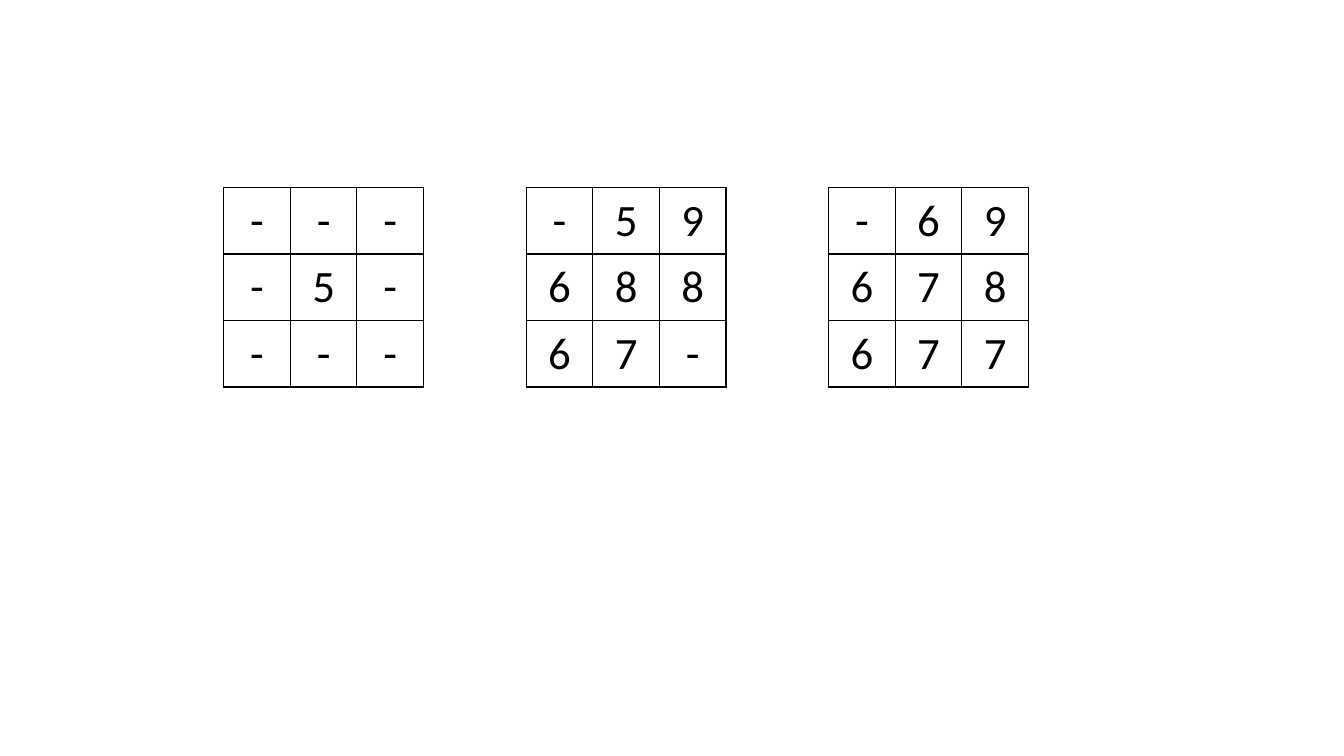
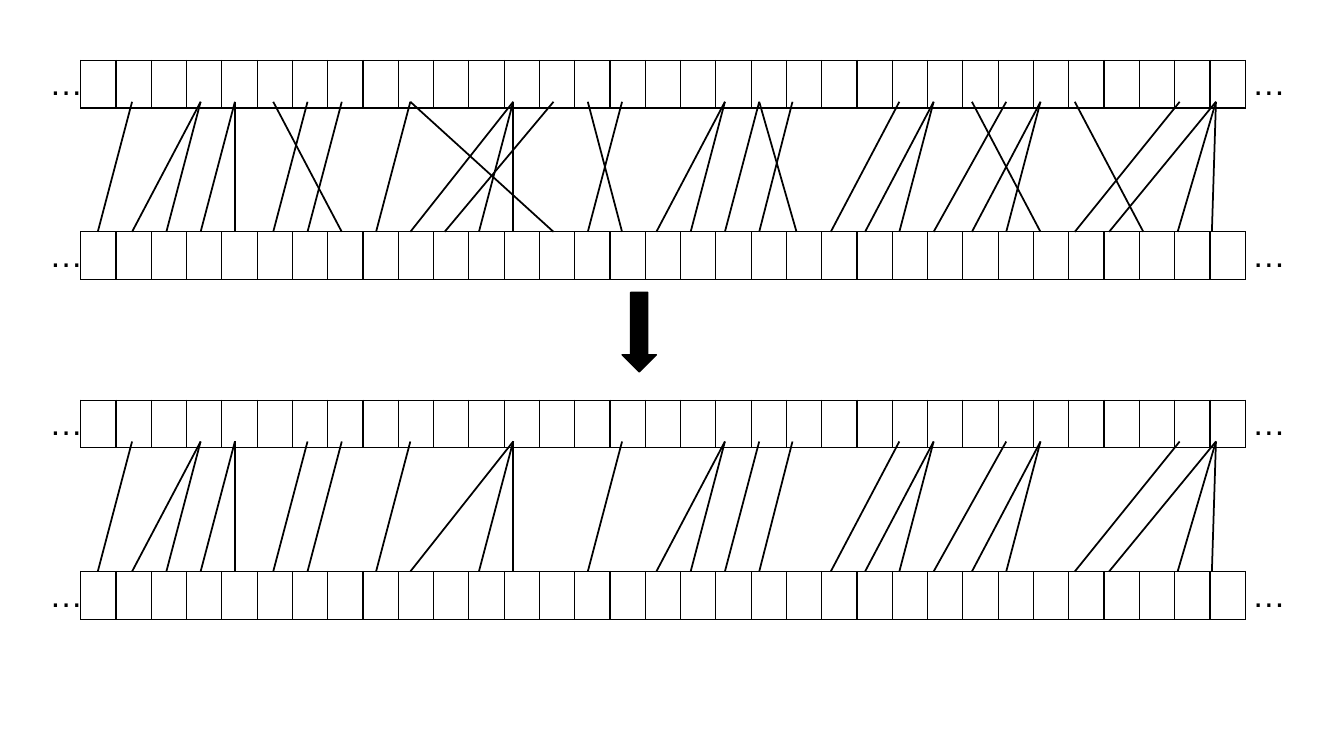
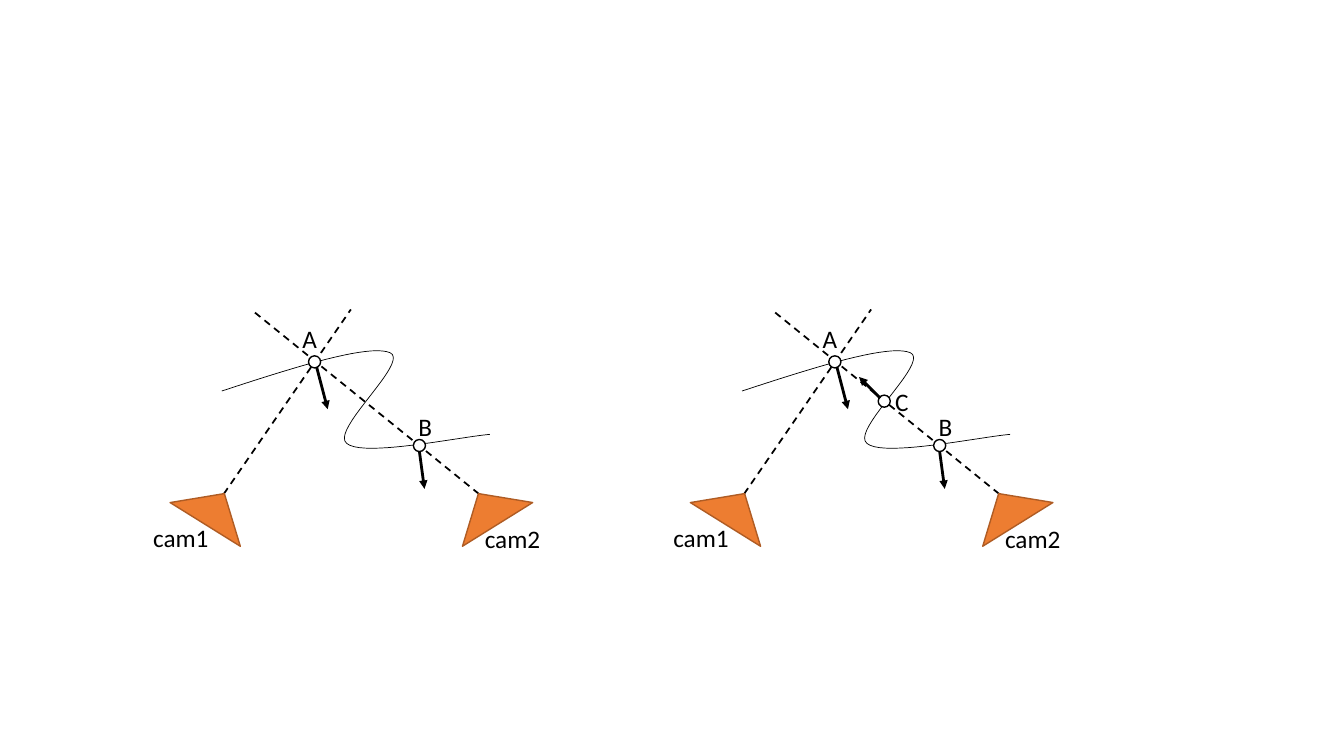
"""Build three diagram slides: filter windows, sequence matching and two-camera views."""
from dataclasses import dataclass

from lxml.etree import SubElement
from pptx import Presentation
from pptx.dml.color import RGBColor
from pptx.enum.dml import MSO_LINE
from pptx.enum.shapes import MSO_CONNECTOR, MSO_SHAPE
from pptx.enum.text import MSO_ANCHOR, MSO_AUTO_SIZE, PP_ALIGN
from pptx.oxml.ns import qn
from pptx.util import Inches, Pt


@dataclass(frozen=True)
class Theme:
    ink: RGBColor = RGBColor(0x00, 0x00, 0x00)
    paper: RGBColor = RGBColor(0xFF, 0xFF, 0xFF)
    camera: RGBColor = RGBColor(0xED, 0x7D, 0x31)
    camera_edge: RGBColor = RGBColor(0xAF, 0x5C, 0x24)
    font: str = "Calibri"
    strip_font: str = "Arial"
    digit_size: int = 32
    strip_size: int = 24
    label_size: int = 18
    curve_line: float = 0.5
    outline: float = 1
    link_line: float = 1.25
    arrow_line: float = 2


theme = Theme()


def write_cell(cell, text, font, size, sides="LRTB"):
    """Write centred text in an unfilled cell and rule the given sides."""
    properties = cell._tc.get_or_add_tcPr()
    for side in sides:
        edge = SubElement(properties, qn(f"a:ln{side}"), w=str(Pt(theme.outline)))
        SubElement(SubElement(edge, qn("a:solidFill")), qn("a:srgbClr"), val=str(theme.ink))
    cell.fill.background()
    cell.vertical_anchor = MSO_ANCHOR.MIDDLE
    paragraph = cell.text_frame.paragraphs[0]
    paragraph.alignment = PP_ALIGN.CENTER
    if text:
        paragraph.text = text
        style = paragraph.runs[0].font
        style.name, style.size, style.color.rgb = font, Pt(size), theme.ink
    else:
        ending = SubElement(paragraph._p, qn("a:endParaRPr"), sz=str(size * 100))
        SubElement(ending, qn("a:latin"), typeface=font)


def connect(slide, start, end, width, dashed=False, arrow=False):
    """Draw a straight line between two points given in inches."""
    points = [Inches(value) for value in (*start, *end)]
    link = slide.shapes.add_connector(MSO_CONNECTOR.STRAIGHT, *points)
    link.line.color.rgb = theme.ink
    link.line.width = Pt(width)
    if dashed:
        link.line.dash_style = MSO_LINE.DASH
    if arrow:
        SubElement(link.element.spPr.find(qn("a:ln")), qn("a:tailEnd"), type="triangle")
    SubElement(link.element.spPr, qn("a:effectLst"))


deck = Presentation()
deck.slide_width, deck.slide_height = Inches(13.33), Inches(7.5)
blank_layout = deck.slide_layouts[6]

window_slide = deck.slides.add_slide(blank_layout)
windows = [("---", "-5-", "---"), ("-59", "688", "67-"), ("-69", "678", "677")]
window_side = 0.66
for position, window in enumerate(windows):
    grid = window_slide.shapes.add_table(
        3, 3, Inches(2.22 + 3 * position), Inches(1.86),
        Inches(3 * window_side), Inches(3 * window_side)).table
    grid.first_row = grid.horz_banding = False
    for row, digits in enumerate(window):
        grid.rows[row].height = grid.columns[row].width = Inches(window_side)
        for column, digit in enumerate(digits):
            write_cell(grid.cell(row, column), digit, theme.font, theme.digit_size)

matching_slide = deck.slides.add_slide(blank_layout)
strip_height, strip_gap, cell_count = 0.41, 1.7, 33
cell_width, end_width = 0.35, 0.38
anchor_groups = [(0.97, 5), (2.71, 8), (5.49, 7), (7.9, 5), (9.64, 8)]
lower_anchors = [start + 0.34 * step for start, count in anchor_groups for step in range(count)]
upper_anchors = lower_anchors.copy()
upper_anchors[20], upper_anchors[31], upper_anchors[32] = 7.86, 11.7, 12.06
ordered_matches = [
    (0, 1), (1, 3), (2, 3), (3, 4), (4, 4), (5, 6), (6, 7), (8, 9), (9, 12),
    (11, 12), (12, 12), (14, 15), (16, 18), (17, 18), (18, 19), (19, 20),
    (21, 23), (22, 24), (23, 24), (24, 26), (25, 27), (26, 27), (28, 31),
    (29, 32), (31, 32), (32, 32)]
crossing_matches = [(7, 5), (13, 9), (10, 13), (15, 14), (20, 19), (27, 25), (30, 28)]
for upper_top, matches in [(0.6, ordered_matches + crossing_matches), (3.97, ordered_matches)]:
    lower_top = upper_top + strip_gap
    for strip_top in (upper_top, lower_top):
        strip = matching_slide.shapes.add_table(
            1, cell_count + 2, Inches(0.42), Inches(strip_top),
            Inches(cell_count * cell_width + 2 * end_width), Inches(strip_height)).table
        strip.first_row = strip.horz_banding = False
        strip.rows[0].height = Inches(strip_height)
        for column in range(cell_count + 2):
            cell = strip.cell(0, column)
            sides = {0: "R", cell_count + 1: "L"}.get(column, "LRTB")
            is_end = len(sides) == 1
            strip.columns[column].width = Inches(end_width if is_end else cell_width)
            write_cell(cell, "…" if is_end else "", theme.strip_font, theme.strip_size, sides)
            if is_end:
                cell.margin_left = cell.margin_right = Inches(0.07)
                cell.margin_top = cell.margin_bottom = 0
    for lower, upper in matches:
        connect(matching_slide, (lower_anchors[lower], lower_top),
                (upper_anchors[upper], upper_top + strip_height), theme.link_line)

filter_arrow = matching_slide.shapes.add_shape(
    MSO_SHAPE.DOWN_ARROW, Inches(6.17), Inches(2.9), Inches(0.34), Inches(0.79))
filter_arrow.shadow.inherit = False
filter_arrow.fill.solid()
filter_arrow.fill.fore_color.rgb = theme.ink
filter_arrow.line.color.rgb = theme.ink
filter_arrow.line.width = Pt(theme.outline)

camera_slide = deck.slides.add_slide(blank_layout)
surface_start = (2.2, 3.88)
surface_bends = [
    ((2.93, 3.64), (3.66, 3.41), (3.87, 3.5)),
    ((4.07, 3.59), (3.27, 4.27), (3.44, 4.4)),
    ((3.6, 4.54), (4.59, 4.33), (4.86, 4.31))]
bend_steps = 20
surface_points = [surface_start]
for first_pull, second_pull, bend_end in surface_bends:
    bend_start = surface_points[-1]
    for step in range(1, bend_steps + 1):
        t = step / bend_steps
        surface_points.append(tuple(
            (1 - t) ** 3 * a + 3 * (1 - t) ** 2 * t * b + 3 * (1 - t) * t ** 2 * c + t ** 3 * d
            for a, b, c, d in zip(bend_start, first_pull, second_pull, bend_end)))

cameras = [(1.72, 4.87, 31.9), (4.43, 4.87, -31.9)]
sight_lines = [((2.22, 4.9), (3.48, 3.07)), ((4.75, 4.9), (2.49, 3.07))]
shared_points = [(3.06, 3.53), (4.1, 4.36)]
shared_normals = [((3.14, 3.64), (3.25, 4.06)), ((4.16, 4.48), (4.21, 4.85))]
shared_labels = [("A", 2.9, 3.16, 0.35), ("B", 4.05, 4.03, 0.35),
                 ("cam1", 1.42, 5.13, 0.76), ("cam2", 4.71, 5.14, 0.76)]
middle_point = (3.55, 3.92)
middle_normal = ((3.57, 3.95), (3.36, 3.74))
middle_label = ("C", 3.62, 3.78, 0.35)
views = [
    (0, shared_points, shared_normals, shared_labels),
    (5.16, shared_points + [middle_point], shared_normals + [middle_normal],
     shared_labels + [middle_label])]
for shift, points, normals, labels in views:
    outline = [(Inches(x + shift), Inches(y)) for x, y in surface_points]
    builder = camera_slide.shapes.build_freeform(*outline[0])
    builder.add_line_segments(outline[1:], close=False)
    surface = builder.convert_to_shape()
    surface.shadow.inherit = False
    surface.fill.background()
    surface.line.color.rgb = theme.ink
    surface.line.width = Pt(theme.curve_line)

    for start, end in sight_lines:
        connect(camera_slide, (start[0] + shift, start[1]), (end[0] + shift, end[1]),
                theme.link_line, dashed=True)
    markers = [(MSO_SHAPE.ISOSCELES_TRIANGLE, x, y, 0.82, 0.36, turn, theme.camera,
                theme.camera_edge) for x, y, turn in cameras]
    markers += [(MSO_SHAPE.OVAL, x, y, 0.12, 0.12, 0, theme.paper, theme.ink) for x, y in points]
    for kind, x, y, width, height, turn, fill, edge in markers:
        marker = camera_slide.shapes.add_shape(
            kind, Inches(x + shift), Inches(y), Inches(width), Inches(height))
        marker.rotation = turn
        marker.shadow.inherit = False
        marker.fill.solid()
        marker.fill.fore_color.rgb = fill
        marker.line.color.rgb = edge
        marker.line.width = Pt(theme.outline)
    for start, end in normals:
        connect(camera_slide, (start[0] + shift, start[1]), (end[0] + shift, end[1]),
                theme.arrow_line, arrow=True)

    for text, x, y, width in labels:
        label = camera_slide.shapes.add_textbox(
            Inches(x + shift), Inches(y), Inches(width), Inches(0.4)).text_frame
        label.word_wrap = False
        label.auto_size = MSO_AUTO_SIZE.SHAPE_TO_FIT_TEXT
        label.text = text
        style = label.paragraphs[0].runs[0].font
        style.name, style.size, style.color.rgb = theme.font, Pt(theme.label_size), theme.ink

deck.save("out.pptx")
